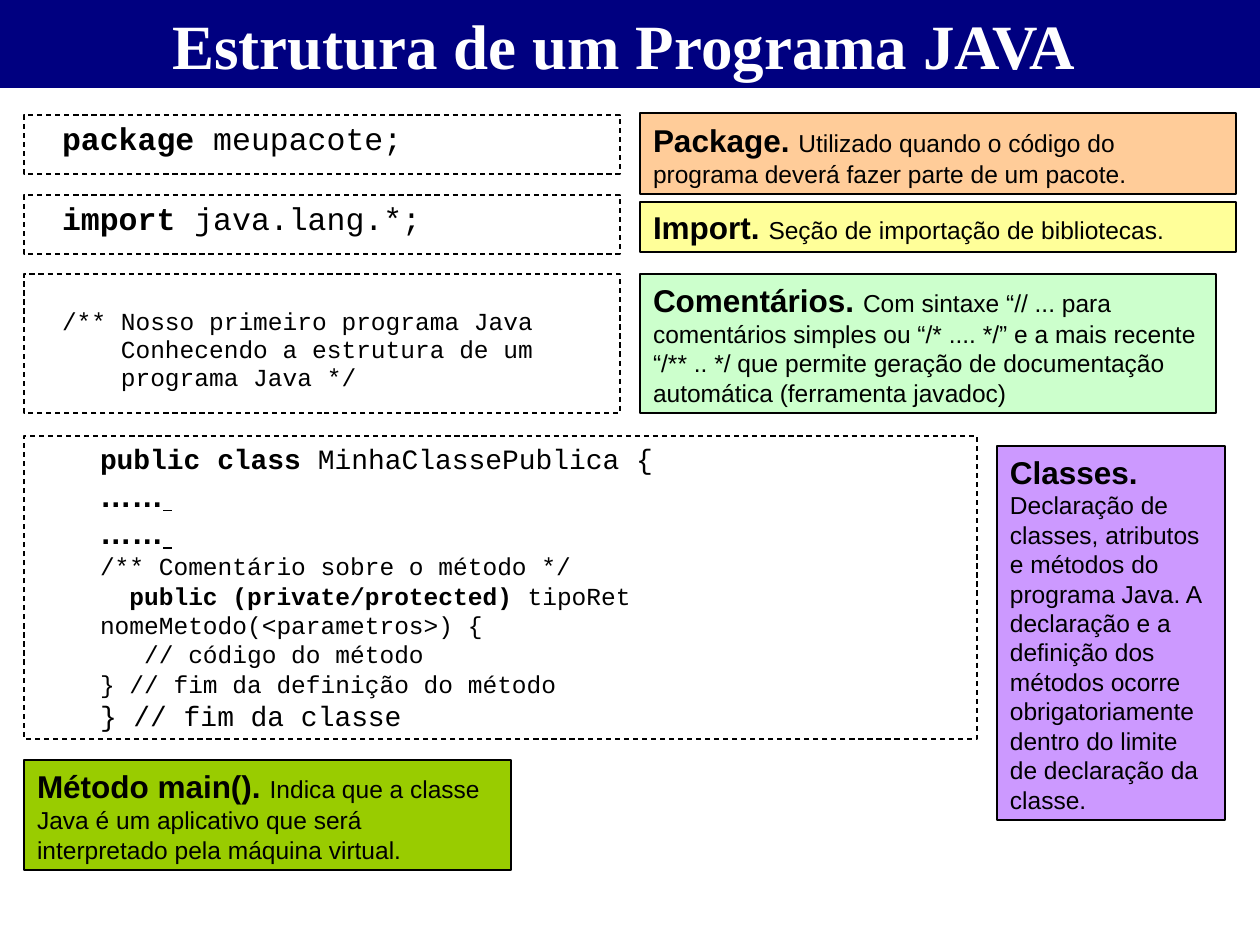
from pptx import Presentation
from pptx.dml.color import RGBColor
from pptx.enum.dml import MSO_LINE
from pptx.enum.shapes import MSO_SHAPE
from pptx.enum.text import MSO_ANCHOR, MSO_AUTO_SIZE, PP_ALIGN
from pptx.util import Pt

EMU_PER_PX = 914400 / 126
LINE_RATIO = 1.2
TIGHT_RATIO = 1.14

CODE = {"name": "Courier New", "size": Pt(14), "bold": False}
CODE_BOLD = {**CODE, "bold": True}
CODE_MID = {**CODE, "size": Pt(16)}
CODE_MID_BOLD = {**CODE_MID, "bold": True}
CODE_LARGE = {**CODE, "size": Pt(18)}
CODE_LARGE_BOLD = {**CODE_LARGE, "bold": True}
TERM = {"name": "Arial", "size": Pt(18), "bold": True}
CURSOR = {**TERM, "bold": False, "underline": True}
DETAIL = {"name": "Arial", "size": Pt(14), "bold": False}
HEADLINE = {"name": "Times New Roman", "size": Pt(36), "bold": True}

ELLIPSIS_LINE = [("……", TERM), (" ", CURSOR)]

SNIPPETS = [
    ((24, 115, 596, 59), 25, 6, TIGHT_RATIO,
     [[("package", CODE_LARGE_BOLD), (" meupacote;", CODE_LARGE)]]),
    ((24, 195, 596, 59), 25, 6, TIGHT_RATIO,
     [[("import", CODE_LARGE_BOLD), (" java.lang.*;", CODE_LARGE)]]),
    ((24, 274, 596, 139), 25, 34, TIGHT_RATIO,
     [[("/** Nosso primeiro programa Java", CODE)],
      [("    Conhecendo a estrutura de um", CODE)],
      [("    programa Java */", CODE)]]),
    ((24, 436, 953, 303), 63, 6, LINE_RATIO,
     [[("public class", CODE_MID_BOLD), (" MinhaClassePublica {", CODE_MID)],
      ELLIPSIS_LINE,
      ELLIPSIS_LINE,
      [("/** Comentário sobre o método */", CODE)],
      [("  public (private/protected) ", CODE_BOLD),
       ("tipoRet nomeMetodo(<parametros>) {", CODE)],
      [("   // código do método", CODE)],
      [("} // fim da definição do método", CODE)],
      [("} // fim da classe", CODE_MID)]]),
]

NOTES = [
    ((640, 113, 596, 81), "FFCC99", "Package. ",
     "Utilizado quando o código do programa deverá fazer parte de um pacote."),
    ((640, 202, 596, 50), "FFFF99", "Import. ",
     "Seção de importação de bibliotecas."),
    ((640, 274, 576, 139), "CCFFCC", "Comentários. ",
     "Com sintaxe “// ... para comentários simples ou “/* .... */” e a mais recente "
     "“/** .. */ que permite geração de documentação automática (ferramenta javadoc)"),
    ((997, 446, 228, 374), "CC99FF", "Classes. ",
     "Declaração de classes, atributos e métodos do programa Java. A declaração e a "
     "definição dos métodos ocorre obrigatoriamente dentro do limite de declaração da classe."),
    ((24, 760, 487, 110), "99CC00", "Método main(). ",
     "Indica que a classe Java é um aplicativo que será interpretado pela máquina virtual."),
]


def px(length):
    return round(length * EMU_PER_PX)


def color(hex_value):
    return RGBColor.from_string(hex_value)


def apply(target, values):
    for key, value in values.items():
        setattr(target, key, value)


def set_frame(frame, left=13, top=6, anchor=MSO_ANCHOR.TOP):
    apply(frame, {"word_wrap": True, "auto_size": MSO_AUTO_SIZE.NONE,
                  "vertical_anchor": anchor, "margin_left": px(left),
                  "margin_right": px(13), "margin_top": px(top),
                  "margin_bottom": px(6)})


def write_line(paragraph, pieces, leading, align=PP_ALIGN.LEFT, ink="000000"):
    apply(paragraph, {"alignment": align, "line_spacing": leading,
                      "space_before": Pt(0), "space_after": Pt(0)})
    for text, style in pieces:
        run = paragraph.add_run()
        run.text = text
        apply(run.font, style)
        run.font.color.rgb = color(ink)


def add_panel(slide, box):
    panel = slide.shapes.add_shape(MSO_SHAPE.RECTANGLE, *map(px, box))
    panel.shadow.inherit = False
    panel.line.color.rgb = color("000000")
    panel.line.width = Pt(0.75)
    return panel


def add_title(slide, box, text):
    title = slide.shapes.title
    apply(title, dict(zip(("left", "top", "width", "height"), map(px, box))))
    title.fill.solid()
    title.fill.fore_color.rgb = color("000080")
    set_frame(title.text_frame, anchor=MSO_ANCHOR.MIDDLE)
    write_line(title.text_frame.paragraphs[0], [(text, HEADLINE)],
               Pt(36 * LINE_RATIO), PP_ALIGN.CENTER, "FFFFFF")


def add_snippet(slide, box, indent, top, ratio, lines):
    panel = add_panel(slide, box)
    panel.fill.background()
    panel.line.dash_style = MSO_LINE.DASH
    frame = panel.text_frame
    set_frame(frame, 13 + indent, top)
    for index, pieces in enumerate(lines):
        paragraph = frame.add_paragraph() if index else frame.paragraphs[0]
        tallest = max(style["size"].pt for _, style in pieces)
        write_line(paragraph, pieces, Pt(tallest * ratio))


def add_note(slide, box, tint, term, detail):
    card = add_panel(slide, box)
    card.fill.solid()
    card.fill.fore_color.rgb = color(tint)
    set_frame(card.text_frame, anchor=MSO_ANCHOR.BOTTOM)
    write_line(card.text_frame.paragraphs[0], [(term, TERM), (detail, DETAIL)],
               Pt(14 * LINE_RATIO))


def main():
    deck = Presentation()
    deck.slide_width, deck.slide_height = px(1260), px(945)
    slide = deck.slides.add_slide(deck.slide_layouts[5])
    add_title(slide, (0, 0, 1260, 88), "Estrutura de um Programa JAVA ")
    for snippet in SNIPPETS:
        add_snippet(slide, *snippet)
    for note in NOTES:
        add_note(slide, *note)
    deck.save("out.pptx")


if __name__ == "__main__":
    main()
